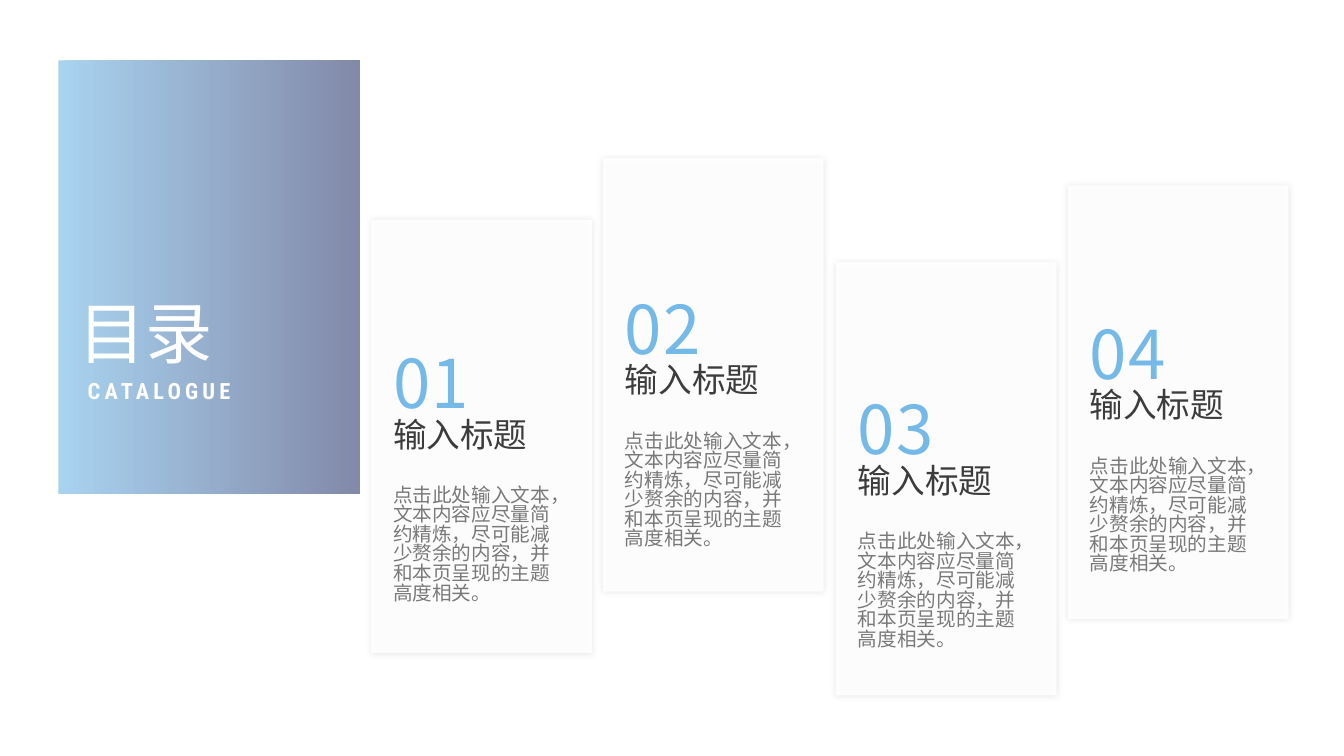
from dataclasses import dataclass

from lxml import etree
from pptx import Presentation
from pptx import util as u
from pptx.dml.color import RGBColor
from pptx.enum import shapes, text
from pptx.oxml.ns import qn

PX = 9144  # EMU per px, 100 px to the inch


@dataclass(frozen=True)
class Style:
    size: int
    color: str
    font: str = "Noto Sans CJK SC"
    bold: bool = False
    tracking: int = 0
    line: float = 1.0
    after: int = 0


@dataclass(frozen=True)
class Theme:
    white: str = "FFFFFF"
    sky: str = "74B9E8"
    navy: str = "374174"
    shadow: str = "000000"
    heading: Style = Style(48, "FFFFFF", line=0.86, after=3)
    subheading: Style = Style(16, "FFFFFF", "Roboto Condensed", True, 3, after=3)
    number: Style = Style(48, "74B9E8", "Noto Sans CJK JP", tracking=1, line=0.88)
    title: Style = Style(24, "3C3C3C", line=0.76)
    body: Style = Style(14, "797979", line=0.83)


@dataclass(frozen=True)
class Box:
    left: int
    top: int
    width: int
    height: int

    def emu(self) -> list[u.Emu]:
        return [u.Emu(v * PX) for v in (self.left, self.top, self.width, self.height)]


@dataclass(frozen=True)
class Chapter:
    number: str
    card_top: int
    text_top: int


THEME = Theme()
COVER = Box(58, 60, 299, 430)
HEADING = Box(68, 296, 184, 122)
CHAPTERS = [
    Chapter("01", 218, 344),
    Chapter("02", 157, 290),
    Chapter("03", 260, 390),
    Chapter("04", 184, 315),
]
CARD_LEFT, CARD_WIDTH, CARD_HEIGHT, CARD_PITCH = 368, 219, 430, 691 / 3
TEXT_INDENT, TEXT_WIDTH, BODY_DROP = 12, 195, 134
TITLE = "输入标题"
BODY = "点击此处输入文本，文本内容应尽量简约精炼，尽可能减少赘余的内容，并和本页呈现的主题高度相关。"


def set_alpha(parent, percent: int) -> None:
    """Give every RGB colour below parent the same opacity."""
    for color in parent.iter(qn("a:srgbClr")):
        etree.SubElement(color, qn("a:alpha"), val=str(percent * 1000))


def add_panel(s, box: Box):
    sp = s.shapes.add_shape(shapes.MSO_SHAPE.RECTANGLE, *box.emu())
    sp.shadow.inherit = False
    sp.line.fill.background()
    return sp


def add_cover(s) -> None:
    sp = add_panel(s, COVER)
    sp.fill.gradient()
    sp.fill.gradient_angle = 0
    for stop, color in zip(sp.fill.gradient_stops, (THEME.sky, THEME.navy)):
        stop.color.rgb = RGBColor.from_string(color)
    set_alpha(sp.element.spPr, 62)


def add_card(s, box: Box) -> None:
    sp = add_panel(s, box)
    sp.fill.solid()
    sp.fill.fore_color.rgb = RGBColor.from_string(THEME.white)
    set_alpha(sp.element.spPr, 90)
    # Soft shadow on all sides
    effects = sp.element.spPr.find(qn("a:effectLst"))
    shadow = etree.SubElement(effects, qn("a:outerShdw"), blurRad=str(u.Pt(5)),
                              dist="0", dir="0", algn="ctr", rotWithShape="0")
    etree.SubElement(shadow, qn("a:srgbClr"), val=THEME.shadow)
    set_alpha(shadow, 10)


def add_text(parent, box: Box, lines: list[tuple[str, Style]], wrap: bool = True) -> None:
    tf = parent.shapes.add_textbox(*box.emu()).text_frame
    tf.word_wrap = wrap
    tf.auto_size = text.MSO_AUTO_SIZE.SHAPE_TO_FIT_TEXT
    tf.text = "\n".join(line for line, _ in lines)
    for p, (_, style) in zip(tf.paragraphs, lines):
        p.line_spacing = style.line
        p.space_after = u.Pt(style.after)
        for r in p.runs:
            r.font.size = u.Pt(style.size)
            r.font.bold = style.bold
            r.font.color.rgb = RGBColor.from_string(style.color)
            r.font.name = style.font
            rPr = r.font._element
            rPr.set("spc", str(style.tracking * 100))
            etree.SubElement(rPr, qn("a:ea"), typeface=style.font)


def main() -> None:
    prs = Presentation()
    prs.slide_width, prs.slide_height = u.Inches(13.33), u.Inches(7.5)
    s = prs.slides.add_slide(prs.slide_layouts[6])

    # Cover panel and chapter cards
    add_cover(s)
    lefts = [CARD_LEFT + round(i * CARD_PITCH) for i in range(len(CHAPTERS))]
    for left, chapter in zip(lefts, CHAPTERS):
        add_card(s, Box(left, chapter.card_top, CARD_WIDTH, CARD_HEIGHT))

    # Heading on the cover panel
    add_text(s, HEADING, [("目录", THEME.heading), (" CATALOGUE", THEME.subheading)], wrap=False)

    # Chapter texts, one group per card
    for left, chapter in zip(lefts, CHAPTERS):
        group = s.shapes.add_group_shape()
        x, y = left + TEXT_INDENT, chapter.text_top
        add_text(group, Box(x, y, TEXT_WIDTH, 131),
                 [(chapter.number, THEME.number), (TITLE, THEME.title)])
        add_text(group, Box(x, y + BODY_DROP, TEXT_WIDTH, 151), [(BODY, THEME.body)])

    prs.save("out.pptx")


if __name__ == "__main__":
    main()
